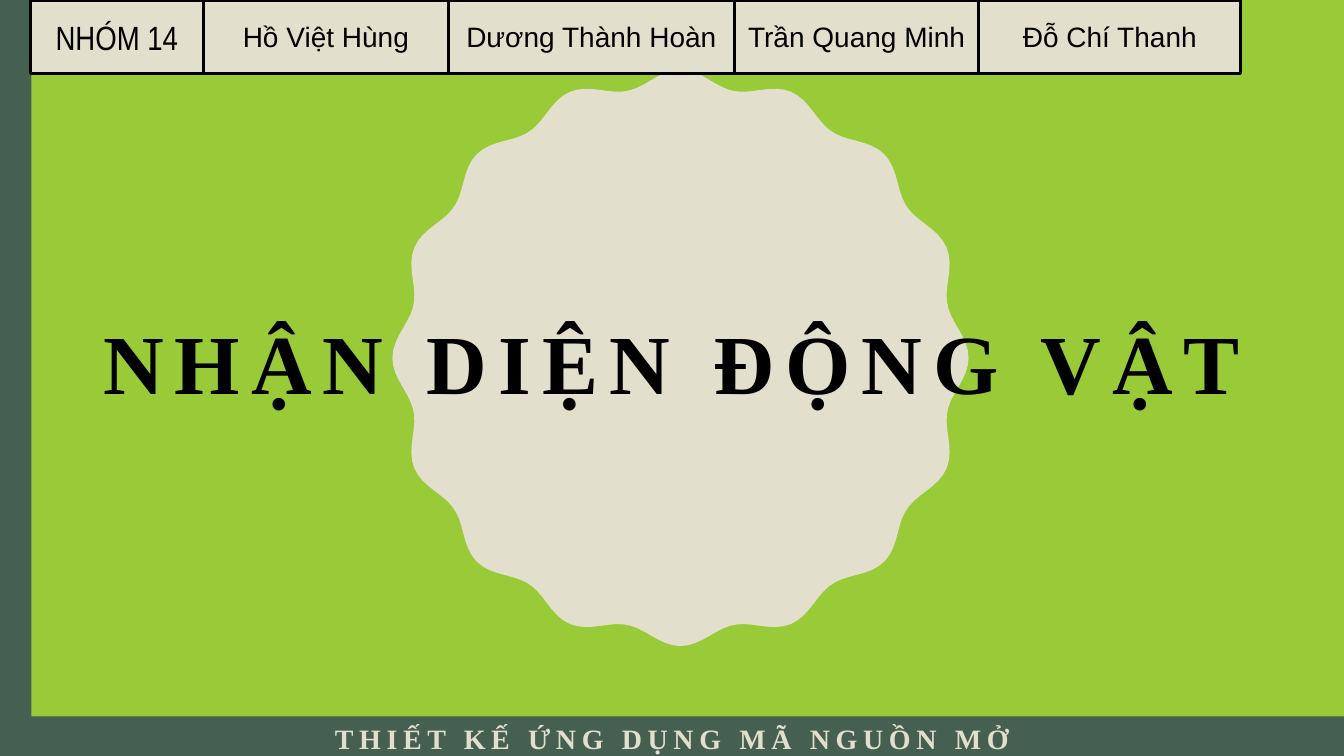
from dataclasses import dataclass
from math import cos, pi, sin

from pptx import Presentation
from pptx.dml.color import RGBColor
from pptx.enum.shapes import MSO_SHAPE as Preset
from pptx.enum.text import MSO_ANCHOR as Anchor, PP_ALIGN as Align
from pptx.util import Cm, Pt


@dataclass(frozen=True)
class Theme:
    lime: RGBColor = RGBColor(0x99, 0xCB, 0x38)
    forest: RGBColor = RGBColor(0x45, 0x5F, 0x51)
    cream: RGBColor = RGBColor(0xE2, 0xDF, 0xCC)
    ink: RGBColor = RGBColor(0, 0, 0)
    serif: str = "Times New Roman"
    sans: str = "Arial"
    narrow: str = "Arial Narrow"
    title_size: int = 60
    group_size: int = 24
    body_size: int = 20


THEME = Theme()
SLIDE_WIDTH, SLIDE_HEIGHT = 33.87, 19.05
TAB_LEFT, TAB_HEIGHT = 0.76, 1.85
GROUP = ("NHÓM 14", 4.37)
MEMBERS = [
    ("Hồ Việt Hùng", 6.17),
    ("Dương Thành Hoàn", 7.21),
    ("Trần Quang Minh", 6.16),
    ("Đỗ Chí Thanh", 6.6),
]


def paint(shape, fill, outline=None):
    shape.shadow.inherit = False
    shape.fill.solid()
    shape.fill.fore_color.rgb = fill
    if outline is None:
        shape.line.fill.background()
    else:
        shape.line.color.rgb = outline
        shape.line.width = Pt(2.25)


def write(shape, text, font, size, color, bold=False, tracking=0, anchor=Anchor.MIDDLE):
    """Set one centred line of text; tracking is the letter spacing in points."""
    frame = shape.text_frame
    frame.word_wrap = True
    frame.vertical_anchor = anchor
    frame.text = text
    line = frame.paragraphs[0]
    line.alignment = Align.CENTER
    run = line.runs[0]
    run.font.name = font
    run.font.size = Pt(size)
    run.font.bold = bold
    run.font.color.rgb = color
    if tracking:
        run._r.get_or_add_rPr().set("spc", str(tracking * 100))
    return line


def add_block(slide, left, top, width, height, fill, outline=None, preset=Preset.RECTANGLE):
    block = slide.shapes.add_shape(preset, Cm(left), Cm(top), Cm(width), Cm(height))
    paint(block, fill, outline)
    return block


def add_badge(slide, center_x, center_y, radius, wave, lobes=16, steps=240):
    """Draw a disc whose radius swings by wave, once for each lobe."""
    def rim(step):
        angle = 2 * pi * step / steps
        reach = radius + wave * cos(lobes * angle)
        return Cm(center_x + reach * sin(angle)), Cm(center_y - reach * cos(angle))

    outline = slide.shapes.build_freeform(*rim(0))
    outline.add_line_segments([rim(step) for step in range(1, steps)], close=True)
    paint(outline.convert_to_shape(), THEME.cream)


def add_tab(slide, left, width, label, font, size):
    tab = add_block(slide, left, 0, width, TAB_HEIGHT, THEME.cream, THEME.ink,
                    Preset.ROUND_2_SAME_RECTANGLE)
    tab.adjustments[0] = tab.adjustments[1] = 0
    write(tab, label, font, size, THEME.ink)


def add_team(slide):
    label, width = GROUP
    add_tab(slide, TAB_LEFT, width, label, THEME.narrow, THEME.group_size)
    left = TAB_LEFT + width
    for member, width in MEMBERS:
        add_tab(slide, left, width, member, THEME.sans, THEME.body_size)
        left += width


def add_title(slide, text):
    title = slide.shapes.add_textbox(Cm(1.93), Cm(3.15), Cm(30.02), Cm(12.22))
    line = write(title, text, THEME.serif, THEME.title_size, THEME.ink, bold=True, tracking=8)
    line.line_spacing = 0.9


def add_subject(slide, text):
    bar = add_block(slide, 0, 18.05, SLIDE_WIDTH, 1.12, THEME.forest)
    write(bar, text, THEME.serif, THEME.body_size, THEME.cream, bold=True, tracking=4,
          anchor=Anchor.TOP)


def main():
    deck = Presentation()
    deck.slide_width, deck.slide_height = Cm(SLIDE_WIDTH), Cm(SLIDE_HEIGHT)
    slide = deck.slides.add_slide(deck.slide_layouts[6])
    slide.background.fill.solid()
    slide.background.fill.fore_color.rgb = THEME.lime

    add_badge(slide, 17.15, 9.02, radius=7.06, wave=0.2)
    add_block(slide, 0, 0, 0.79, SLIDE_HEIGHT, THEME.forest)
    add_title(slide, "NHẬN DIỆN ĐỘNG VẬT")
    add_subject(slide, "THIẾT KẾ ỨNG DỤNG MÃ NGUỒN MỞ")
    add_team(slide)
    deck.save("out.pptx")


if __name__ == "__main__":
    main()
